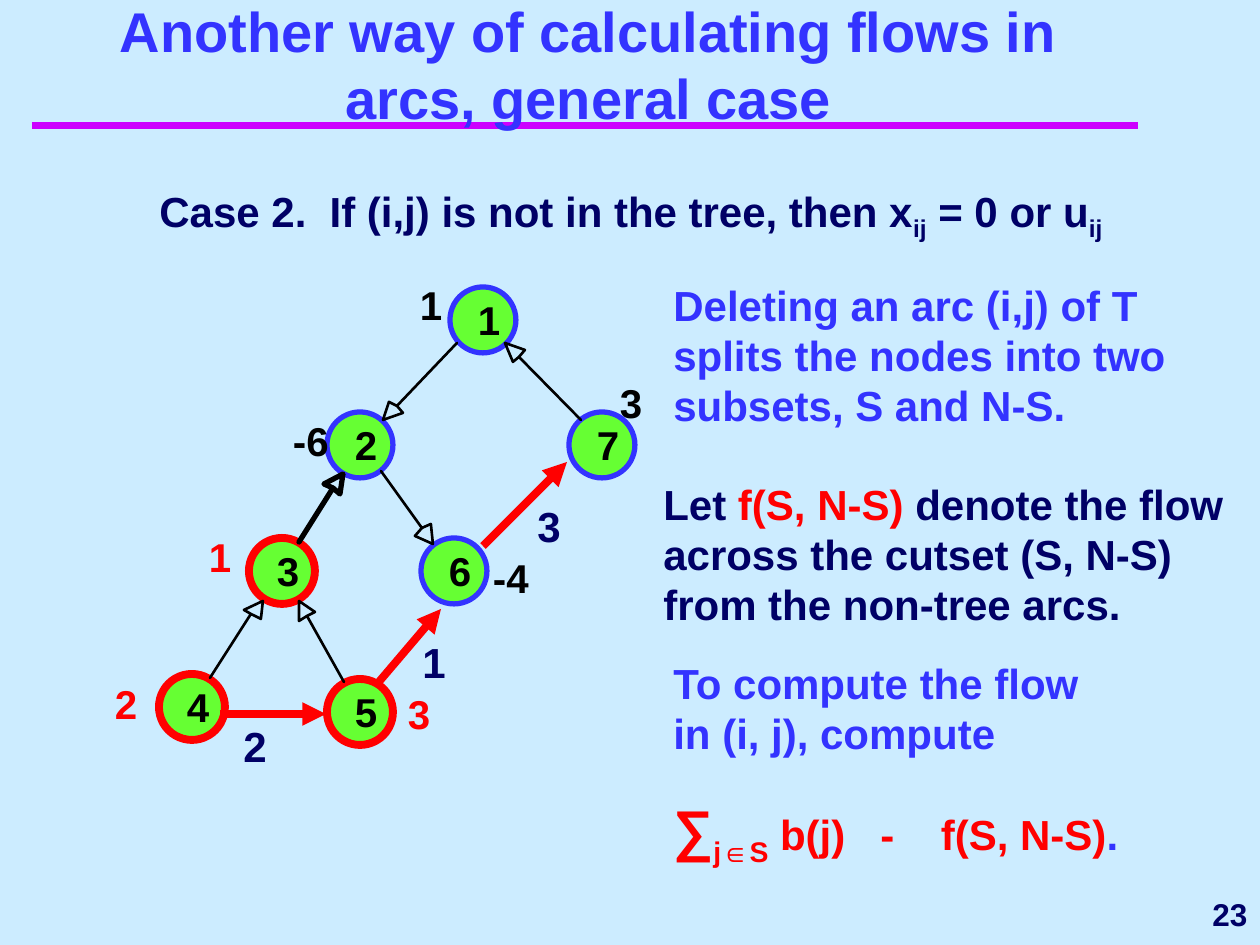
import pptx
import pptx.dml.color
import pptx.enum.shapes
import pptx.enum.text
import pptx.oxml.ns
import pptx.util
from lxml import etree

PX = 914400 // 126  # EMU per px

NAVY, BLUE, RED, BLACK = "000066", "3333FF", "FF0000", "000000"
GREEN, PURPLE, SKY = "66FF33", "CC00FF", "CCECFF"
ALIGN = pptx.enum.text.PP_ALIGN
ANCHOR = pptx.enum.text.MSO_ANCHOR
AUTO_SIZE = pptx.enum.text.MSO_AUTO_SIZE

# Node name, centre x, centre y, outline colour
NODES = [
    ("1", 483, 320, BLUE), ("3", 282, 571, RED), ("6", 454, 571, BLUE),
    ("4", 192, 707, RED), ("5", 360, 712, RED), ("2", 360, 445, BLUE),
    ("7", 602, 445, BLUE),
]
# Supply text, left, top, colour
SUPPLIES = [
    ("1", 420, 280, BLACK), ("3", 620, 378, BLACK), ("-6", 293, 416, BLACK),
    ("-4", 493, 553, BLACK), ("1", 209, 532, RED), ("2", 115, 679, RED),
    ("3", 408, 689, RED),
]
# Start, neck, wing, tip, other wing, line width
TREE_ARCS = [
    ((457, 343), (397, 406), (389, 402), (383, 420), (403, 413), 1.5),
    ((299, 542), (333, 488), (340, 494), (343, 474), (324, 484), 3),
    ((210, 678), (251, 614), (261, 619), (263, 601), (244, 610), 1.5),
    ((344, 682), (307, 616), (315, 612), (299, 601), (299, 621), 1.5),
    ((381, 471), (422, 528), (415, 536), (433, 544), (431, 524), 1.5),
    ((581, 420), (519, 357), (525, 350), (505, 343), (513, 362), 1.5),
]
# Start, end, flow text, flow left, flow top
FLOW_ARCS = [
    ((220, 714), (326, 714), "2", 231, 714),
    ((378, 683), (441, 609), "1", 410, 630),
    ((483, 546), (567, 462), "3", 525, 494),
]


def px(length):
    return pptx.util.Emu(length * PX)


def color(code):
    return pptx.dml.color.RGBColor.from_string(code)


def set_line(shape, code, width):
    shape.line.color.rgb = color(code)
    shape.line.width = pptx.util.Pt(width)


def add_text(page, left, top, width, height, spans, margins=True, wrap=True,
             align=ALIGN.LEFT, anchor=ANCHOR.TOP, grow=True, spacing=None):
    """Each span is (text, size, colour) with an optional subscript flag."""
    box = page.shapes.add_textbox(px(left), px(top), px(width), px(height))
    frame = box.text_frame
    frame.word_wrap = wrap
    frame.vertical_anchor = anchor
    frame.auto_size = AUTO_SIZE.SHAPE_TO_FIT_TEXT if grow else AUTO_SIZE.NONE
    if not margins:
        frame.margin_left = frame.margin_right = 0
        frame.margin_top = frame.margin_bottom = 0
    para = frame.paragraphs[0]
    para.alignment = align
    if spacing:
        para.line_spacing = spacing
    for text, size, code, *subscript in spans:
        span = para.add_run()
        span.text = text
        span.font.name = "Arial"
        span.font.size = pptx.util.Pt(size)
        span.font.bold = True
        span.font.color.rgb = color(code)
        if subscript:
            span.font._element.set("baseline", "-25000")


def add_label(page, left, top, text, code):
    add_text(page, left, top, 12 + 12 * len(text), 48, [(text, 23, code)],
             margins=False, wrap=False)


def add_node(page, name, x, y, outline):
    node = page.shapes.add_shape(pptx.enum.shapes.MSO_SHAPE.OVAL,
                                 px(x - 33), px(y - 33), px(66), px(66))
    node.shadow.inherit = False
    node.fill.solid()
    node.fill.fore_color.rgb = color(GREEN)
    set_line(node, outline, 4.5 if outline == RED else 3)
    add_label(page, x - 5, y - 25, name, BLACK)


def add_tree_arc(page, start, neck, wing, tip, other_wing, width):
    builder = page.shapes.build_freeform(*start, scale=PX)
    builder.add_line_segments([neck, wing, tip, other_wing, neck], close=True)
    arc = builder.convert_to_shape()
    arc.shadow.inherit = False
    arc.fill.background()
    set_line(arc, BLACK, width)


def add_line(page, start, end, code, width, arrow=False):
    line = page.shapes.add_connector(
        pptx.enum.shapes.MSO_CONNECTOR.STRAIGHT,
        px(start[0]), px(start[1]), px(end[0]), px(end[1]))
    set_line(line, code, width)
    if arrow:
        etree.SubElement(line.line._get_or_add_ln(),
                         pptx.oxml.ns.qn("a:tailEnd"), type="triangle")
    etree.SubElement(line._element.spPr, pptx.oxml.ns.qn("a:effectLst"))


def main():
    deck = pptx.Presentation()
    deck.slide_width, deck.slide_height = px(1260), px(945)
    page = deck.slides.add_slide(deck.slide_layouts[6])
    page.background.fill.solid()
    page.background.fill.fore_color.rgb = color(SKY)

    # Rule, page number and title
    add_line(page, (32, 126), (1138, 126), PURPLE, 4)
    add_text(page, 1018, 882, 242, 63, [("23", 18, NAVY)], wrap=False,
             align=ALIGN.RIGHT, anchor=ANCHOR.MIDDLE, grow=False)
    add_text(page, 53, 84, 1071, 53,
             [("Another way of calculating flows in arcs, general case", 32, BLUE)],
             align=ALIGN.CENTER, anchor=ANCHOR.BOTTOM, grow=False)

    # Tree with supplies
    for node in NODES:
        add_node(page, *node)
    for text, left, top, code in SUPPLIES:
        add_label(page, left, top, text, code)
    for arc in TREE_ARCS:
        add_tree_arc(page, *arc)

    # Non-tree arcs with their flows
    for start, end, flow, left, top in FLOW_ARCS:
        add_line(page, start, end, RED, 4.5, arrow=True)
        add_text(page, left, top, 94, 63, [(flow, 24, NAVY)])

    # Explanation
    add_text(page, 147, 179, 987, 70, [
        ("Case 2.  If (i,j) is not in the tree, then x", 24, NAVY),
        ("ij", 24, NAVY, True), (" = 0 or u", 24, NAVY), ("ij", 24, NAVY, True)])
    add_text(page, 661, 273, 557, 164, [
        ("Deleting an arc (i,j) of T splits the nodes into two subsets, "
         "S and N-S.", 24, BLUE)])
    add_text(page, 651, 472, 609, 164, [
        ("Let", 24, NAVY), (" f(S, N-S)", 24, RED),
        (" denote the flow across the cutset (S, N-S) from the non-tree arcs.",
         24, NAVY)])
    add_text(page, 661, 651, 441, 113,
             [("To compute the flow in (i, j), compute", 24, BLUE)])
    add_text(page, 661, 766, 504, 110, [
        ("∑", 32, RED), ("j∈S", 28, RED, True),
        (" b(j)   -    f(S, N-S)", 24, RED), (".", 24, BLUE)], spacing=1.3)

    deck.save("out.pptx")


if __name__ == "__main__":
    main()
